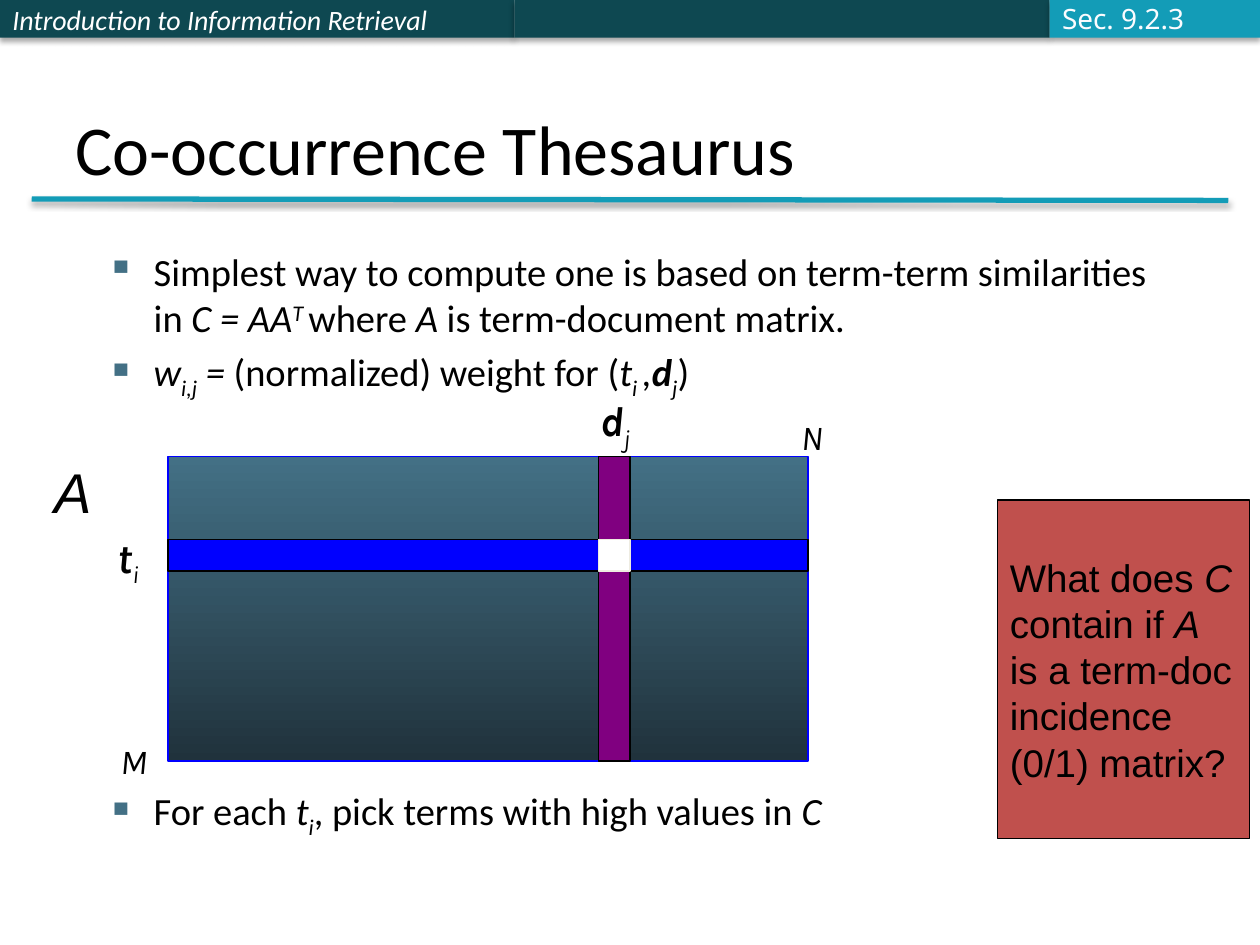
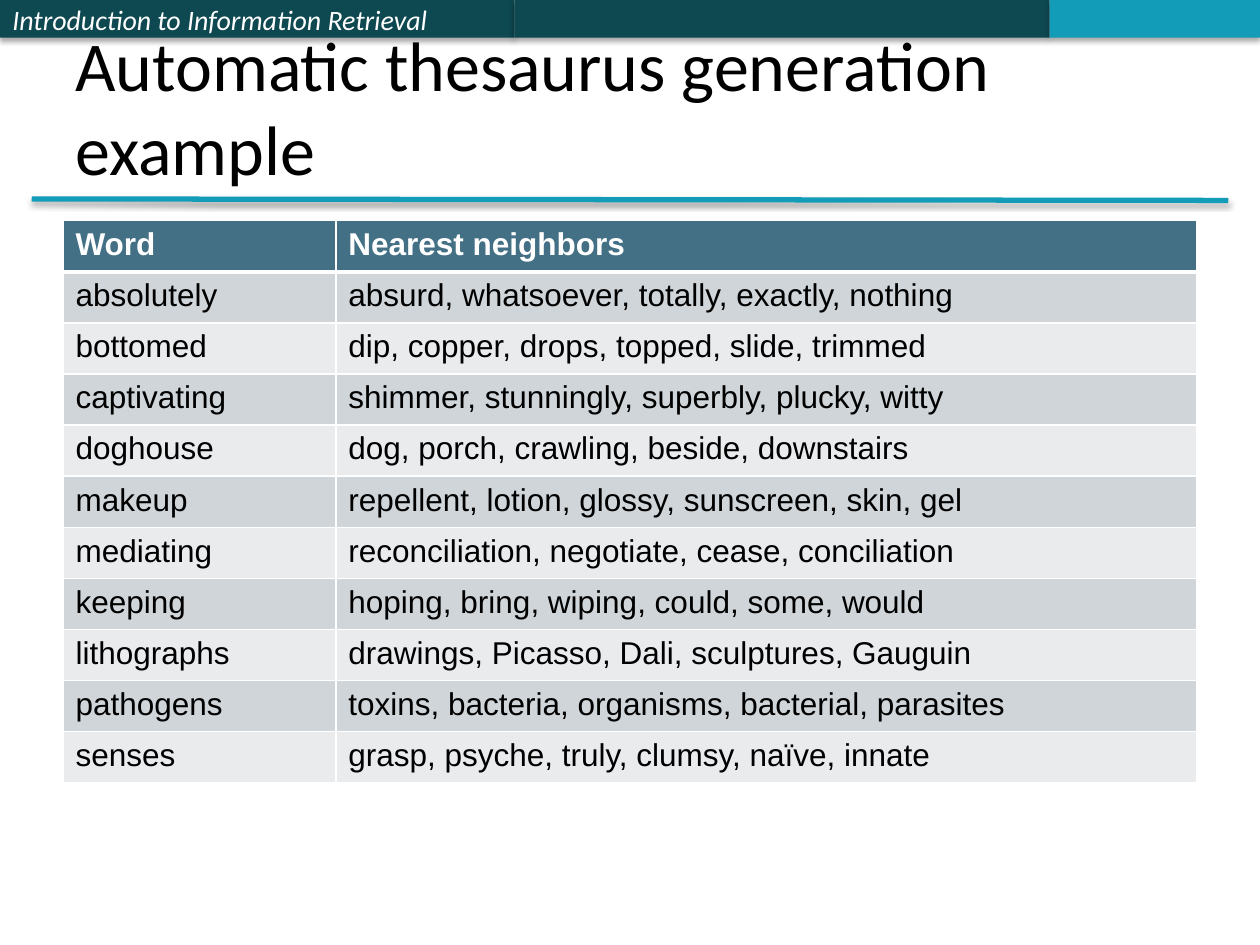
from lxml import etree
from pptx import Presentation
from pptx.dml.color import RGBColor as RGB
from pptx.enum.shapes import MSO_CONNECTOR as Line, MSO_SHAPE as Shape
from pptx.enum.text import MSO_ANCHOR as Anchor, PP_ALIGN as Align
from pptx.oxml import parse_xml
from pptx.oxml.ns import nsdecls
from pptx.util import Cm, Pt

COLORS = {
    "ink": "000000", "paper": "FFFFFF", "band": "0E4851", "accent": "139CB7",
    "section": "FBFCFF", "bullet": "437085", "matrix_top": "437085",
    "matrix_bottom": "20323C", "row": "0000FF", "column": "800080",
    "cell_edge": "EEECE1", "question": "C0504D", "head": "437085",
    "odd": "CFD5D9", "even": "E9EBED",
}
COLOR = {name: RGB.from_string(code) for name, code in COLORS.items()}
STYLES = {
    "i": {"italic": True},
    "b": {"bold": True},
}
BASELINES = {"^": "30000", "_": "-25000"}


def write(frame, paragraphs, size, font, color="ink", bullets=False, **layout):
    """Fill a text frame; each paragraph lists (text, marks) with marks i, b, ^ and _."""
    settings = {"word_wrap": True, "vertical_anchor": Anchor.TOP} | layout
    for name, value in settings.items():
        setattr(frame, name, value)
    for number, runs in enumerate(paragraphs):
        paragraph = frame.add_paragraph() if number else frame.paragraphs[0]
        paragraph.alignment = Align.LEFT
        if number:
            paragraph.space_before = Pt(size * 0.2)
        if bullets:
            properties = paragraph._p.get_or_add_pPr()
            properties.set("marL", str(Cm(0.95)))
            properties.set("indent", str(-Cm(0.95)))
            properties.append(parse_xml(
                f'<a:buClr {nsdecls("a")}><a:srgbClr val="{COLORS["bullet"]}"/></a:buClr>'))
            properties.append(parse_xml(f'<a:buChar {nsdecls("a")} char="▪"/>'))
        for text, marks in runs:
            run = paragraph.add_run()
            run.text = text
            run.font.color.rgb = COLOR[color]
            values = {"size": Pt(size), "name": font, "bold": False, "italic": False}
            for mark in marks:
                values |= STYLES.get(mark, {})
                if mark in BASELINES:
                    run.font._element.set("baseline", BASELINES[mark])
            for name, value in values.items():
                setattr(run.font, name, value)


def add_block(slide, box, fill, edge=None):
    """Add a flat rectangle; box is left, top, width, height in cm."""
    block = slide.shapes.add_shape(Shape.RECTANGLE, *map(Cm, box))
    block.shadow.inherit = False
    block.fill.solid()
    block.fill.fore_color.rgb = COLOR[fill]
    if edge:
        block.line.color.rgb = COLOR[edge]
        block.line.width = Pt(0.75)
    else:
        block.line.fill.background()
    return block


deck = Presentation()
deck.slide_width, deck.slide_height = Cm(25.4), Cm(19.05)

# Header bands, rule and title of every slide
slides = []
for title in ("Co-occurrence Thesaurus", "Automatic thesaurus generation example"):
    slide = deck.slides.add_slide(deck.slide_layouts[6])
    slides.append(slide)
    bands = [add_block(slide, (left, 0, width, 0.76), fill) for left, width, fill in (
        (0, 10.37, "band"), (10.37, 10.79, "band"), (21.16, 4.24, "accent"))]
    write(bands[0].text_frame, [[("Introduction to Information Retrieval", "i")]],
          16, "Calibri", "paper", vertical_anchor=Anchor.MIDDLE)
    rule = slide.shapes.add_connector(Line.STRAIGHT, Cm(0.64), Cm(4.01), Cm(24.76), Cm(4.04))
    rule.line.color.rgb = COLOR["accent"]
    rule.line.width = Pt(3)
    for part in (*bands, rule):
        properties = part._element.spPr
        for old in properties.findall("{*}effectLst"):
            properties.remove(old)
        properties.append(parse_xml(
            f'<a:effectLst {nsdecls("a")}><a:outerShdw blurRad="{Pt(3.1)}" dist="{Pt(1.8)}" '
            'dir="5400000" rotWithShape="0"><a:srgbClr val="000000"><a:alpha val="35000"/>'
            '</a:srgbClr></a:outerShdw></a:effectLst>'))
    heading = slide.shapes.add_textbox(Cm(1.27), Cm(0.76), Cm(22.86), Cm(3.18))
    write(heading.text_frame, [[(title, "")]], 40, "Calibri", vertical_anchor=Anchor.BOTTOM)

thesaurus, example = slides

# Slide 1: points above and below the matrix
points_above = [
    [("Simplest way to compute one is based on term-term similarities in ", ""),
     ("C = AA", "i"), ("T ", "i^"), ("where ", ""), ("A", "i"),
     (" is term-document matrix.", "")],
    [("w", "i"), ("i,j", "i_"), (" = ", "i"), ("(normalized) weight for (", ""),
     ("t", "i"), ("i ", "i_"), (",", "i"), ("d", "bi"), ("j", "i_"), (")", "")],
]
points_below = [
    [("For each ", ""), ("t", "i"), ("i", "i_"),
     (", pick terms with high values in ", ""), ("C", "i")],
]
for top, height, points in ((4.88, 3.2, points_above), (15.75, 1.2, points_below)):
    body = thesaurus.shapes.add_textbox(Cm(1.9), Cm(top), Cm(21.59), Cm(height))
    write(body.text_frame, points, 22, "Calibri", bullets=True)

# Term-document matrix with one term row and one document column
left, top, width, height = 3.39, 9.2, 12.9, 6.14
row_top, column_left, strip = 10.87, 12.06, 0.64
matrix = add_block(thesaurus, (left, top, width, height), "matrix_top", "row")
matrix.fill.gradient()
matrix.fill.gradient_angle = 270
for stop, name in zip(matrix.fill.gradient_stops, ("matrix_top", "matrix_bottom")):
    stop.color.rgb = COLOR[name]
add_block(thesaurus, (left, row_top, width, strip), "row", "ink")
add_block(thesaurus, (column_left, top, strip, height), "column", "ink")
add_block(thesaurus, (column_left, row_top, strip, strip), "paper", "cell_edge")

for x, y, w, h, runs, size, font in (
    (2.12, 10.58, 1.9, 1.27, [("t", "bi"), ("i", "i_")], 24, "Karla"),
    (11.85, 7.83, 1.9, 1.27, [("d", "bi"), ("j", "i_")], 24, "Karla"),
    (15.9, 8.26, 1.9, 1.09, [("N", "i")], 20, "Karla"),
    (2.18, 14.78, 1.9, 1.09, [("M", "i")], 20, "Karla"),
    (0.84, 9.09, 1.27, 1.63, [("A", "i")], 32, "Arial"),
):
    label = thesaurus.shapes.add_textbox(Cm(x), Cm(y), Cm(w), Cm(h))
    write(label.text_frame, [runs], size, font)

question = add_block(thesaurus, (20.11, 10.08, 5.08, 6.83), "question", "ink")
write(question.text_frame,
      [[("What does ", ""), ("C", "i"), (" contain if ", ""), ("A", "i"),
        (" is a term-doc incidence (0/1) matrix?", "")]],
      22, "Arial", vertical_anchor=Anchor.MIDDLE)
section = thesaurus.shapes.add_textbox(Cm(21.16), Cm(-0.1), Cm(3.25), Cm(0.94))
write(section.text_frame, [[("Sec. 9.2.3", "")]], 16, "Noto Sans", "section",
      word_wrap=False, vertical_anchor=Anchor.MIDDLE)

# Slide 2: words and their nearest neighbors
neighbors = [
    ("Word", "Nearest neighbors"),
    ("absolutely", "absurd, whatsoever, totally, exactly, nothing"),
    ("bottomed", "dip, copper, drops, topped, slide, trimmed"),
    ("captivating", "shimmer, stunningly, superbly, plucky, witty"),
    ("doghouse", "dog, porch, crawling, beside, downstairs"),
    ("makeup", "repellent, lotion, glossy, sunscreen, skin, gel"),
    ("mediating", "reconciliation, negotiate, cease, conciliation"),
    ("keeping", "hoping, bring, wiping, could, some, would"),
    ("lithographs", "drawings, Picasso, Dali, sculptures, Gauguin"),
    ("pathogens", "toxins, bacteria, organisms, bacterial, parasites"),
    ("senses", "grasp, psyche, truly, clumsy, naïve, innate"),
]
table = example.shapes.add_table(
    len(neighbors), 2, Cm(1.27), Cm(4.45), Cm(22.86), Cm(11.33)).table
for column, column_width in zip(table.columns, (5.5, 17.36)):
    column.width = Cm(column_width)
for r, texts in enumerate(neighbors):
    table.rows[r].height = Cm(1.03)
    for c, text in enumerate(texts):
        cell = table.cell(r, c)
        properties = cell._tc.get_or_add_tcPr()
        for side in "LRTB":
            thick = (r == 0 and side == "B") or (r == 1 and side == "T")
            border = etree.SubElement(properties, f"{{{properties.nsmap['a']}}}ln{side}",
                                      w=str(Pt(3 if thick else 1)))
            border.append(parse_xml(
                f'<a:solidFill {nsdecls("a")}><a:srgbClr val="{COLORS["paper"]}"/></a:solidFill>'))
        cell.fill.solid()
        cell.fill.fore_color.rgb = COLOR["head" if r == 0 else "odd" if r % 2 else "even"]
        write(cell.text_frame, [[(text, "" if r else "b")]], 18, "Arial",
              "ink" if r else "paper")

deck.save("out.pptx")
